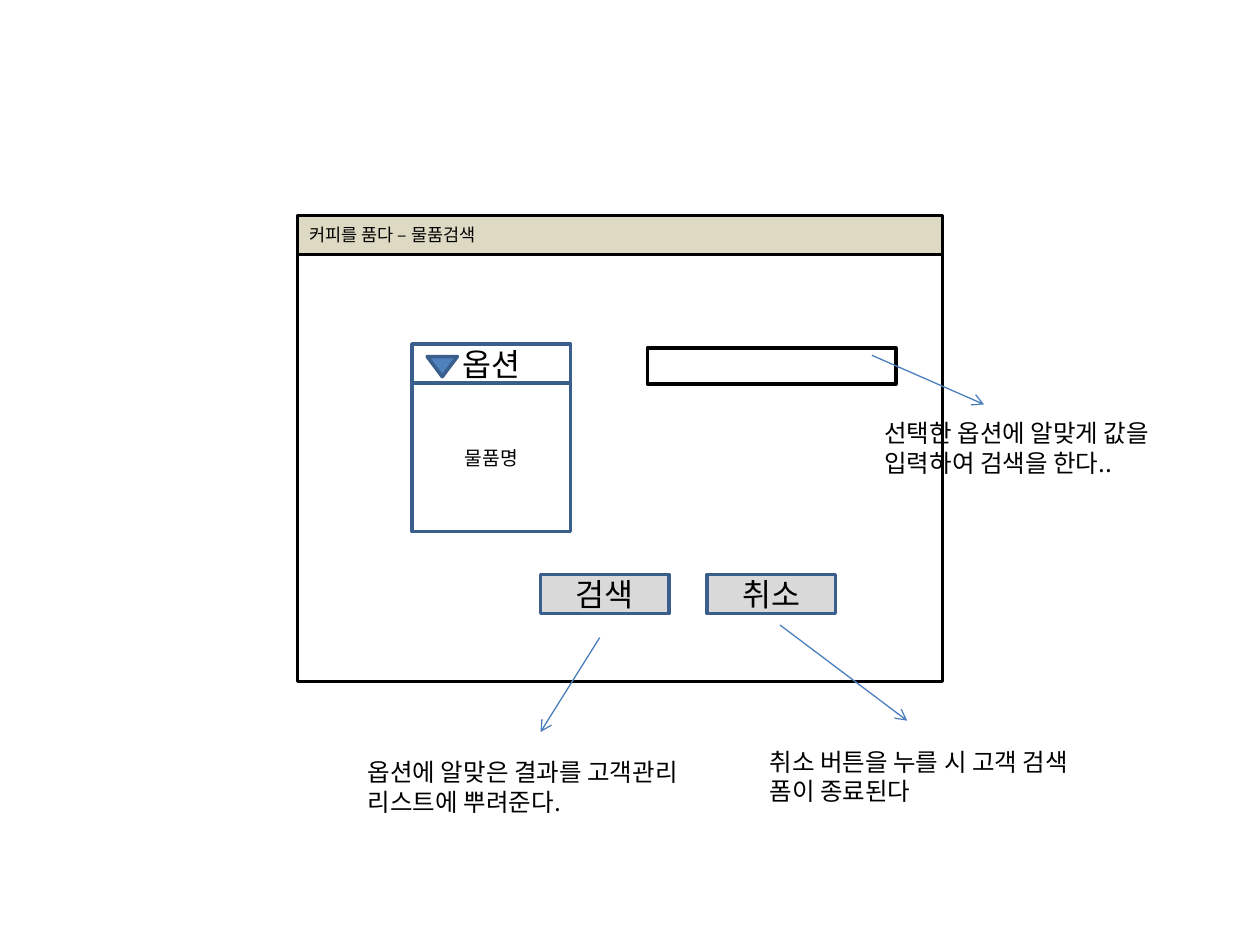
from dataclasses import dataclass

from lxml.etree import SubElement
from pptx import Presentation
from pptx.dml.color import RGBColor
from pptx.enum.shapes import MSO_CONNECTOR, MSO_SHAPE
from pptx.enum.text import MSO_ANCHOR, MSO_AUTO_SIZE, PP_ALIGN
from pptx.oxml.ns import qn
from pptx.util import Inches, Pt


@dataclass(frozen=True)
class Theme:
    """Colours, font and type sizes of the slide."""
    font: str = "Noto Sans CJK KR"
    ink: str = "000000"
    paper: str = "FFFFFF"
    bar: str = "DDD9C3"
    button: str = "D9D9D9"
    accent: str = "4F81BD"
    edge: str = "3A5F8C"
    arrow: str = "4B7EBC"
    title: int = 10
    item: int = 11
    note: int = 14
    label: int = 18


theme = Theme()


def color(code):
    """Turn a hex code into a colour."""
    return RGBColor.from_string(code)


def write(shape, text, size=theme.note, align=PP_ALIGN.LEFT, anchor=MSO_ANCHOR.MIDDLE):
    """Put formatted text into a shape."""
    frame = shape.text_frame
    frame.word_wrap = True
    frame.vertical_anchor = anchor
    para = frame.paragraphs[0]
    para.alignment = align
    run = para.add_run()
    run.text = text
    run.font.size = Pt(size)
    run.font.color.rgb = color(theme.ink)
    run.font.name = theme.font
    SubElement(run.font._element, qn("a:ea"), typeface=theme.font)


def block(slide, x, y, w, h, fill=theme.paper, edge=theme.edge, kind=MSO_SHAPE.RECTANGLE):
    """Draw a filled, outlined shape."""
    shape = slide.shapes.add_shape(kind, Inches(x), Inches(y), Inches(w), Inches(h))
    shape.shadow.inherit = False
    shape.fill.solid()
    shape.fill.fore_color.rgb = color(fill)
    shape.line.color.rgb = color(edge)
    shape.line.width = Pt(2)
    return shape


def window(slide, x, y, w, h, title):
    """Draw the window frame with its title bar."""
    block(slide, x, y, w, h, edge=theme.ink)
    bar = block(slide, x, y, w, 0.31, fill=theme.bar, edge=theme.ink)
    write(bar, title, size=theme.title)


def picker(slide, x, y, w, h, label, item):
    """Draw an open drop-down: head, marker and list."""
    head = 0.31
    top = block(slide, x, y, w, head)
    write(top, label, size=theme.label, align=PP_ALIGN.CENTER)
    block(slide, x + 0.12, y + 0.1, 0.24, 0.16, fill=theme.accent,
          kind=MSO_SHAPE.FLOWCHART_MERGE)
    body = block(slide, x, y + head, w, h - head)
    write(body, item, size=theme.item, align=PP_ALIGN.CENTER)


def buttons(slide, x, y, w, h, labels, gap=0.3):
    """Draw a row of equal buttons."""
    width = (w - gap * (len(labels) - 1)) / len(labels)
    for i, label in enumerate(labels):
        button = block(slide, x + i * (width + gap), y, width, h, fill=theme.button)
        write(button, label, size=theme.label, align=PP_ALIGN.CENTER)


def note(slide, x, y, text, start, end):
    """Place a remark and the arrow that leads to it."""
    box = slide.shapes.add_textbox(Inches(x), Inches(y), Inches(2.94), Inches(0.57))
    write(box, text, anchor=MSO_ANCHOR.TOP)
    box.text_frame.auto_size = MSO_AUTO_SIZE.SHAPE_TO_FIT_TEXT
    ends = [Inches(v) for v in start + end]
    arrow = slide.shapes.add_connector(MSO_CONNECTOR.STRAIGHT, *ends)
    arrow.line.color.rgb = color(theme.arrow)
    arrow.line.width = Pt(0.75)
    SubElement(arrow.line._get_or_add_ln(), qn("a:tailEnd"), type="arrow")
    SubElement(arrow._element.spPr, qn("a:effectLst"))


def main():
    """Build and save the search form slide."""
    deck = Presentation()
    deck.slide_width, deck.slide_height = Inches(10), Inches(7.5)
    slide = deck.slides.add_slide(deck.slide_layouts[6])
    window(slide, 2.36, 1.71, 5.12, 3.7, "커피를 품다 – 물품검색")
    picker(slide, 3.27, 2.73, 1.26, 1.49, "옵션", "물품명")
    block(slide, 5.14, 2.76, 1.97, 0.29, edge=theme.ink)
    buttons(slide, 4.29, 4.56, 2.34, 0.31, ["검색", "취소"])
    notes = [
        (6.92, 3.27, "선택한 옵션에 알맞게 값을 입력하여 검색을 한다..", (6.92, 2.82), (7.81, 3.21)),
        (6.01, 5.88, "취소 버튼을 누를 시 고객 검색 폼이 종료된다", (6.19, 4.96), (7.2, 5.72)),
        (2.82, 5.96, "옵션에 알맞은 결과를 고객관리 리스트에 뿌려준다.", (4.76, 5.06), (4.29, 5.81)),
    ]
    for item in notes:
        note(slide, *item)
    deck.save("out.pptx")


main()
